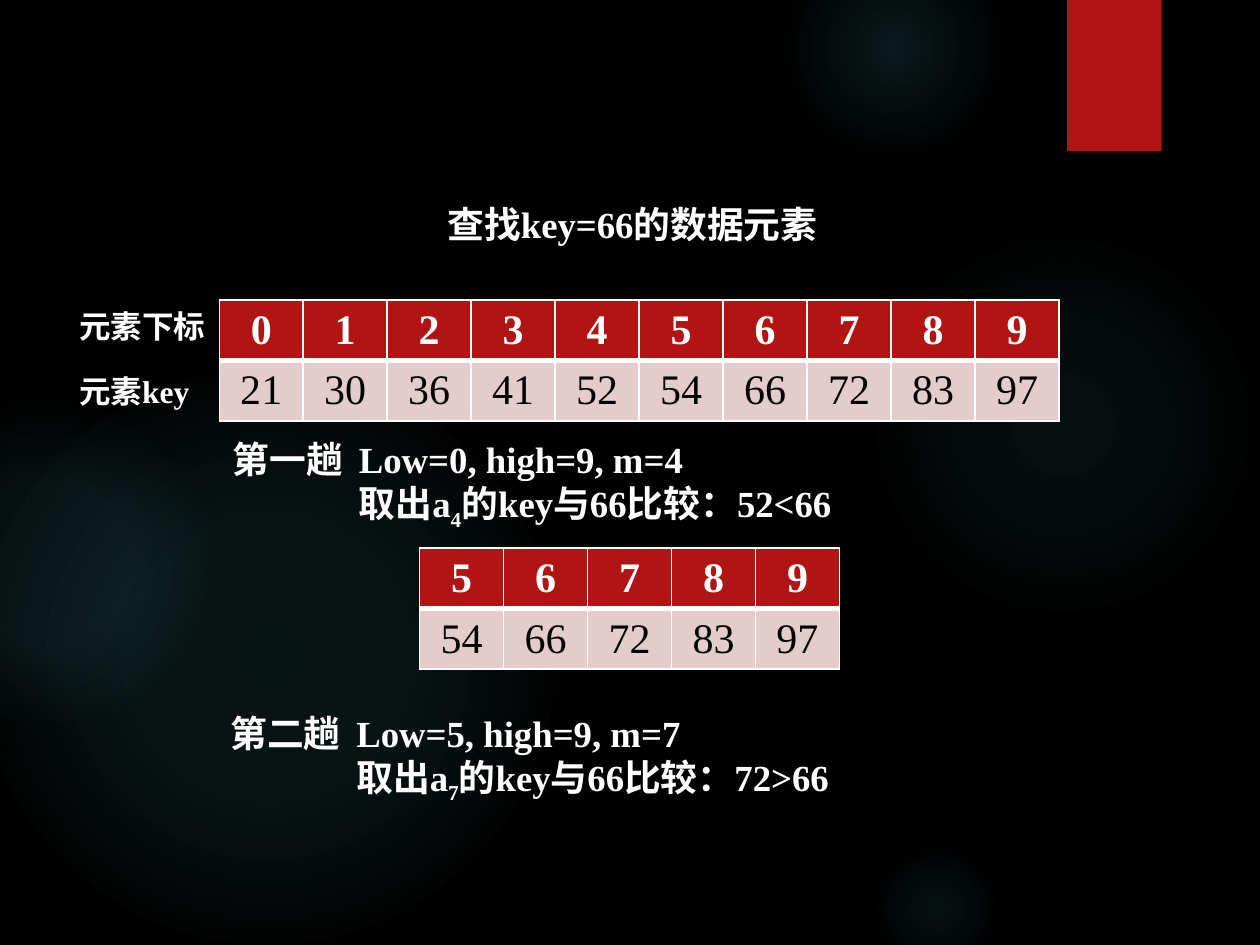
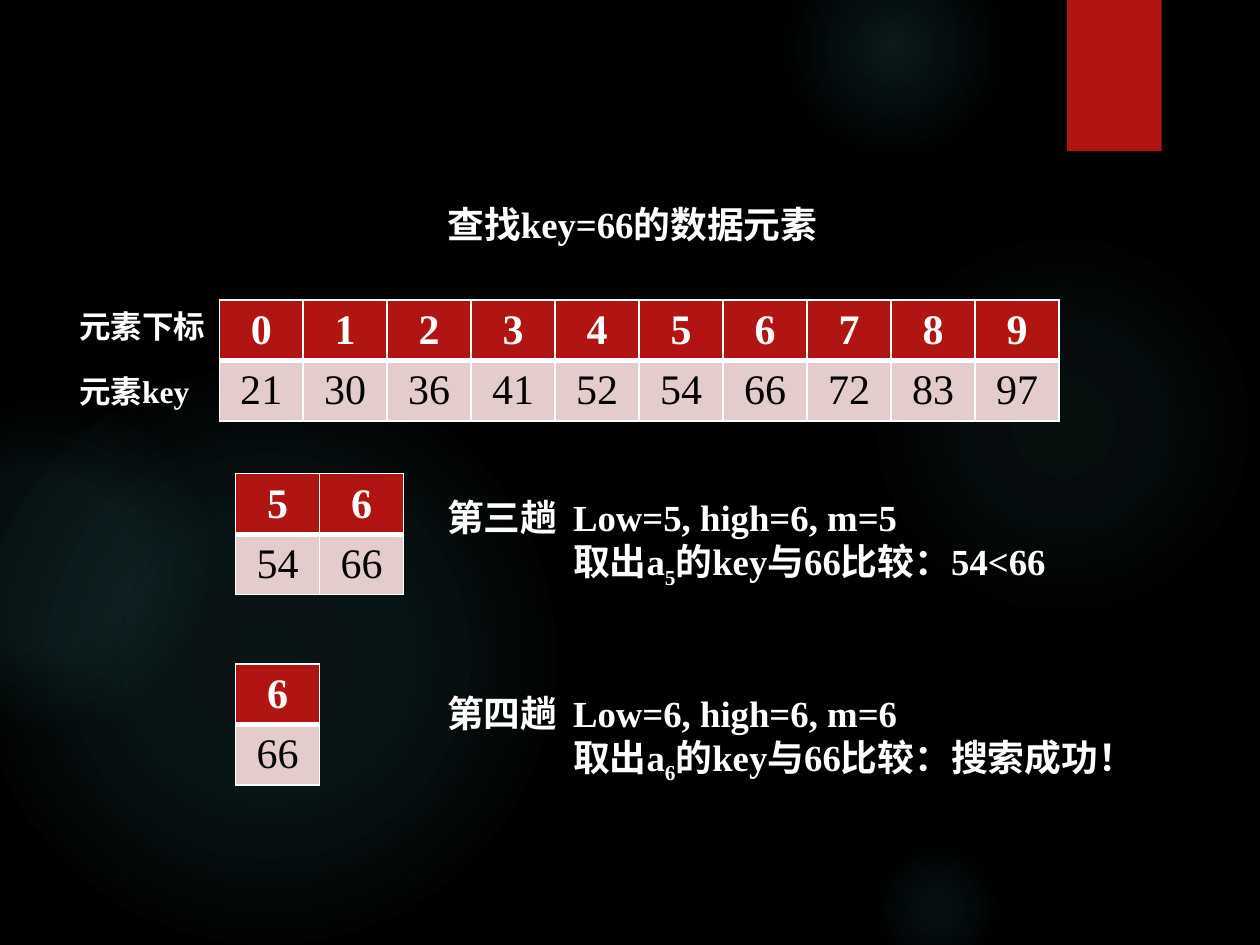
import pptx
import pptx.dml.color
import pptx.enum.shapes
import pptx.enum.text
import pptx.oxml
import pptx.oxml.ns
import pptx.util

RGBColor = pptx.dml.color.RGBColor
BLACK = RGBColor(0x00, 0x00, 0x00)
WHITE = RGBColor(0xFF, 0xFF, 0xFF)
RED = RGBColor(0xB0, 0x15, 0x13)
PINK = RGBColor(0xE4, 0xCC, 0xCC)
TEAL = RGBColor(0x50, 0xB9, 0xC1)

SERIF = "Times New Roman"
SANS = "League Spartan"
NS = pptx.oxml.ns.nsdecls("a")

KEYS = [21, 30, 36, 41, 52, 54, 66, 72, 83, 97]
COL = 100 / 15   # cell width, percent of the slide's width
ROW = 6.33       # cell height, percent of the slide's height

# left, top, diameter (percent), then (stop, opacity) pairs of the glow
GLOWS = [
    (68.9, 24.4, 30.8, [(0, 7), (36, 6), (69, 0)]),
    (62.2, -6.67, 17.5, [(0, 14), (36, 7), (73, 0)]),
    (68.9, 88.93, 10.8, [(0, 9), (36, 5), (66, 0)]),
    (-1.7, 38.93, 45.8, [(0, 11), (36, 10), (75, 0)]),
    (-9.2, 42.27, 25.8, [(0, 8), (36, 8), (72, 0)]),
]


class Deck:
    """Holds the style and the current slide; lengths are percent of the slide."""

    def __init__(self):
        self.prs = pptx.Presentation()
        self.prs.slide_width = pptx.util.Inches(10)
        self.prs.slide_height = pptx.util.Inches(7.5)
        self.layout = self.prs.slide_layouts[5]
        self.s = None
        fill = self.prs.slide_master.background.fill
        fill.solid()
        fill.fore_color.rgb = BLACK

    def box(self, x, y, w, h):
        width, height = self.prs.slide_width, self.prs.slide_height
        return [pptx.util.Emu(round(share * side / 100)) for share, side in
                ((x, width), (y, height), (w, width), (h, height))]

    def slide(self, title):
        first = self.s is None
        self.s = self.prs.slides.add_slide(self.layout)
        if first:
            self.decorate_layout()
        sp = self.s.shapes.title
        sp.left, sp.top, sp.width, sp.height = self.box(34.5, 20.67, 42.7, 6)
        self.fill_text(sp.text_frame, [[title]])

    def decorate_layout(self):
        """Draw the glows and the red tab once and hand them to the layout."""
        shapes = [self.glow(*glow) for glow in GLOWS] + [self.red_tab()]
        for sp in shapes:
            self.layout.shapes.element.append(sp.element)

    def shape(self, kind, x, y, w, h):
        sp = self.s.shapes.add_shape(kind, *self.box(x, y, w, h))
        sp.shadow.inherit = False
        sp.line.fill.background()
        return sp

    def glow(self, x, y, d, stops):
        ratio = self.prs.slide_width / self.prs.slide_height
        sp = self.shape(pptx.enum.shapes.MSO_SHAPE.OVAL, x, y, d, d * ratio)
        sp.fill.background()
        gs = "".join(
            f'<a:gs pos="{pos * 1000}"><a:srgbClr val="{TEAL}">'
            f'<a:alpha val="{alpha * 1000}"/></a:srgbClr></a:gs>'
            for pos, alpha in stops)
        grad = pptx.oxml.parse_xml(
            f'<a:gradFill {NS}><a:gsLst>{gs}</a:gsLst><a:path path="circle">'
            '<a:fillToRect l="50000" t="50000" r="50000" b="50000"/>'
            '</a:path></a:gradFill>')
        no_fill = sp.element.spPr.find(pptx.oxml.ns.qn("a:noFill"))
        sp.element.spPr.replace(no_fill, grad)
        return sp

    def red_tab(self):
        sp = self.shape(pptx.enum.shapes.MSO_SHAPE.RECTANGLE, 84.7, 0, 7.5, 16)
        sp.fill.solid()
        sp.fill.fore_color.rgb = RED
        effects = sp.element.spPr.find(pptx.oxml.ns.qn("a:effectLst"))
        effects.append(pptx.oxml.parse_xml(
            f'<a:outerShdw {NS} blurRad="38100" dist="25400" dir="5400000">'
            f'<a:srgbClr val="{BLACK}"><a:alpha val="45000"/></a:srgbClr>'
            '</a:outerShdw>'))
        return sp

    def run(self, p, text, size, font=SERIF, color=WHITE, bold=True):
        r = p.add_run()
        r.text = text
        r.font.size = pptx.util.Pt(size)
        r.font.name = font
        r.font.bold = bold
        r.font.color.rgb = color
        return r

    def fill_text(self, tf, lines, size=21, font=SERIF):
        """Fill a frame; the second run of a line is its subscript."""
        tf.word_wrap = True
        tf.vertical_anchor = pptx.enum.text.MSO_ANCHOR.TOP
        tf.auto_size = pptx.enum.text.MSO_AUTO_SIZE.SHAPE_TO_FIT_TEXT
        for i, line in enumerate(lines):
            p = tf.add_paragraph() if i else tf.paragraphs[0]
            p.alignment = pptx.enum.text.PP_ALIGN.LEFT
            for j, text in enumerate(line):
                r = self.run(p, text, size, font)
                if j == 1:
                    r._r.get_or_add_rPr().set("baseline", "-25000")

    def text(self, x, y, w, h, lines, size=21, font=SERIF):
        tf = self.s.shapes.add_textbox(*self.box(x, y, w, h)).text_frame
        self.fill_text(tf, lines, size, font)
        return tf

    def step(self, x, y, name, low, high, mid, result, h=10.8):
        """One round of the search, with its details at a one-inch tab stop."""
        tf = self.text(x, y, 66.7, h, [
            [f"{name} \tLow={low}, high={high}, m={mid}"],
            ["\t取出a", str(mid), f"的key与66比较：{result}"]])
        for p in tf.paragraphs:
            p._p.get_or_add_pPr().append(pptx.oxml.parse_xml(
                f'<a:tabLst {NS}><a:tab pos="{pptx.util.Inches(1)}" algn="l"/>'
                '</a:tabLst>'))

    def table(self, x, y, low, high):
        """Indices low to high above their keys."""
        indices = range(low, high + 1)
        n = len(indices)
        table = self.s.shapes.add_table(
            2, n, *self.box(x, y, n * COL, 2 * ROW)).table
        for c, index in enumerate(indices):
            self.cell(table.cell(0, c), index, RED, WHITE, True,
                      {"L": 1, "R": 1, "T": 1, "B": 3})
            self.cell(table.cell(1, c), KEYS[index], PINK, BLACK, False,
                      {"L": 1, "R": 1, "B": 1})

    def cell(self, cell, value, fill, color, bold, borders):
        cell.fill.solid()
        cell.fill.fore_color.rgb = fill
        cell.vertical_anchor = pptx.enum.text.MSO_ANCHOR.MIDDLE
        cell.margin_left = cell.margin_right = pptx.util.Inches(0.07)
        cell.margin_top = cell.margin_bottom = pptx.util.Inches(0.04)
        p = cell.text_frame.paragraphs[0]
        p.alignment = pptx.enum.text.PP_ALIGN.CENTER
        self.run(p, str(value), 24, color=color, bold=bold)
        for i, (side, width) in enumerate(borders.items()):
            cell._tc.get_or_add_tcPr().insert(i, pptx.oxml.parse_xml(
                f'<a:ln{side} {NS} w="{pptx.util.Pt(width)}"><a:solidFill>'
                f'<a:srgbClr val="{WHITE}"/></a:solidFill></a:ln{side}>'))

    def search_slide(self):
        """A slide with the title and the whole labelled array."""
        self.slide("查找key=66的数据元素")
        self.table(17.4, 31.73, 0, 9)
        self.text(5.3, 31.87, 12.1, 5.33, [["元素下标"]], 18, SANS)
        self.text(5.3, 38.67, 16.7, 5.33, [["元素key"]], 18)


def main():
    deck = Deck()

    deck.search_slide()
    deck.step(17.5, 45.6, "第一趟", 0, 9, 4, "52<66")
    deck.table(33.3, 58, 5, 9)
    deck.step(17.3, 74.53, "第二趟", 5, 9, 7, "72>66")

    deck.search_slide()
    deck.table(18.7, 50.13, 5, 6)
    deck.step(34.5, 51.73, "第三趟", 5, 6, 5, "54<66")
    deck.table(18.7, 70.27, 6, 6)
    deck.step(34.5, 72.4, "第四趟", 6, 6, 6, "搜索成功！", h=15.47)

    deck.prs.save("out.pptx")


if __name__ == "__main__":
    main()
